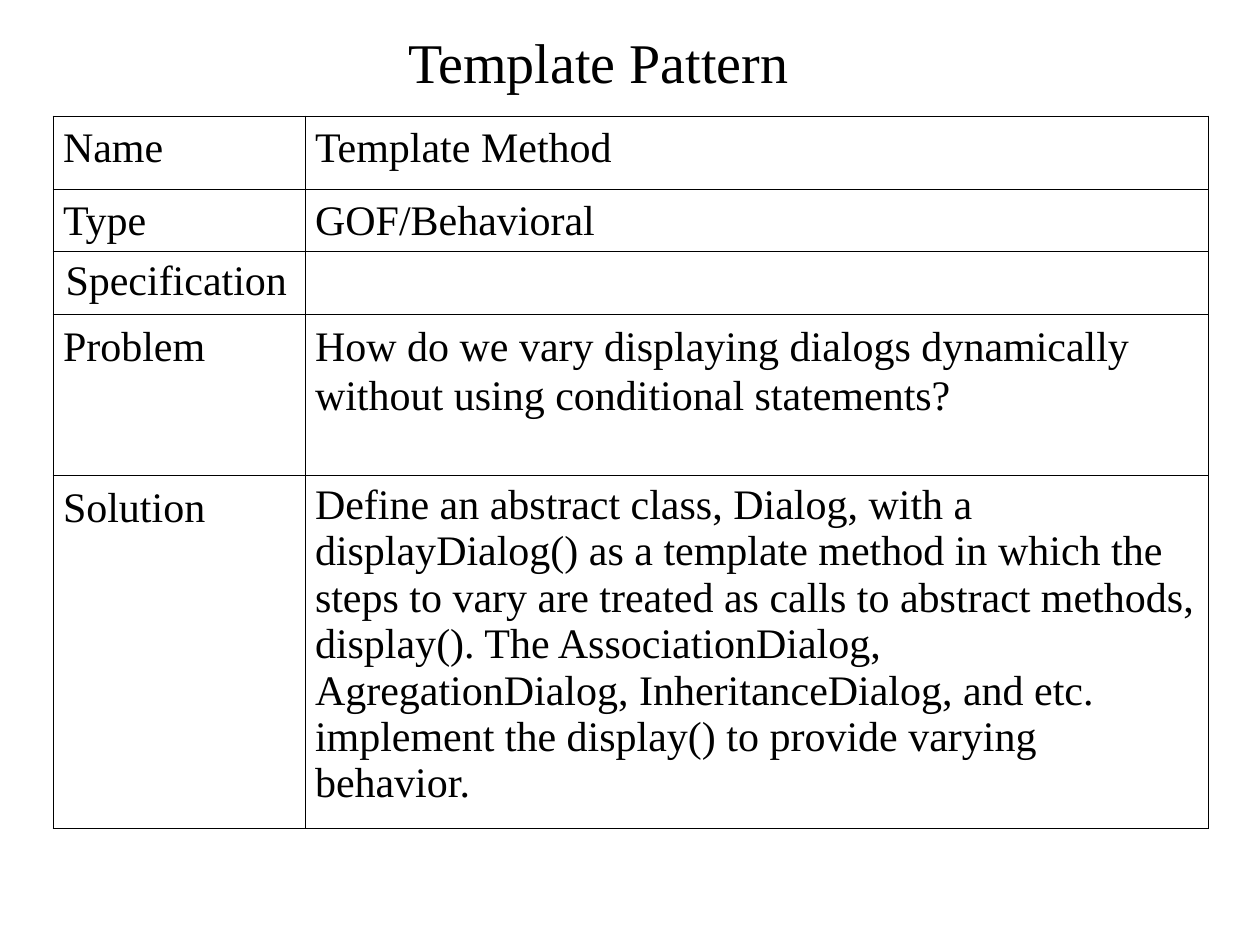
from lxml.etree import SubElement
from pptx import Presentation
from pptx.dml.color import RGBColor
from pptx.enum.text import MSO_ANCHOR, PP_ALIGN
from pptx.oxml.ns import qn
from pptx.util import Inches, Pt

COLORS = {"text": "000000", "border": "000000"}
FONT = "Times New Roman"


def format_text(paragraph, size):
    for run in paragraph.runs:
        run.font.name = FONT
        run.font.size = Pt(size)
        run.font.color.rgb = RGBColor.from_string(COLORS["text"])


def add_borders(cell):
    properties = cell._tc.get_or_add_tcPr()
    for side in ("a:lnL", "a:lnR", "a:lnT", "a:lnB"):
        line = SubElement(properties, qn(side), w=str(Pt(0.45)))
        fill = SubElement(line, qn("a:solidFill"))
        SubElement(fill, qn("a:srgbClr"), val=COLORS["border"])


presentation = Presentation()
presentation.slide_width = Inches(10)
presentation.slide_height = Inches(7.5)
slide = presentation.slides.add_slide(presentation.slide_layouts[5])

# Title
title = slide.shapes.title
title.left, title.top = Inches(0.5), Inches(0.3)
title.width, title.height = Inches(8.5), Inches(0.37)
title.text_frame.text = "Template Pattern"
title.text_frame.vertical_anchor = MSO_ANCHOR.MIDDLE
title_paragraph = title.text_frame.paragraphs[0]
title_paragraph.alignment = PP_ALIGN.CENTER
format_text(title_paragraph, 32)

# Pattern description: label, description, row height
rows = [
    ("Name", "Template Method", 0.58),
    ("Type", "GOF/Behavioral", 0.43),
    ("Specification", "", 0.5),
    ("Problem", "How do we vary displaying dialogs dynamically without using "
     "conditional statements?", 1.28),
    ("Solution", "Define an abstract class, Dialog, with a displayDialog() as a "
     "template method in which the steps to vary are treated as calls to abstract "
     "methods, display(). The AssociationDialog, AgregationDialog, "
     "InheritanceDialog, and etc. implement the display() to provide varying "
     "behavior.", 2.8),
]
table = slide.shapes.add_table(
    len(rows), 2, Inches(0.42), Inches(0.92), Inches(9.17), Inches(5.6)).table
table.first_row = False
table.horz_banding = False
table.columns[0].width = Inches(2)
table.columns[1].width = Inches(7.17)

for row_index, (label, description, height) in enumerate(rows):
    table.rows[row_index].height = Inches(height)
    for column_index, text in enumerate((label, description)):
        cell = table.cell(row_index, column_index)
        add_borders(cell)
        cell.fill.background()
        cell.text_frame.text = text
        paragraph = cell.text_frame.paragraphs[0]
        format_text(paragraph, 24)
        if label != "Specification":
            cell.margin_left = cell.margin_right = Inches(0.08)
            # The long solution text keeps single spacing
            if text != rows[-1][1]:
                paragraph.line_spacing = 1.07

presentation.save("out.pptx")
